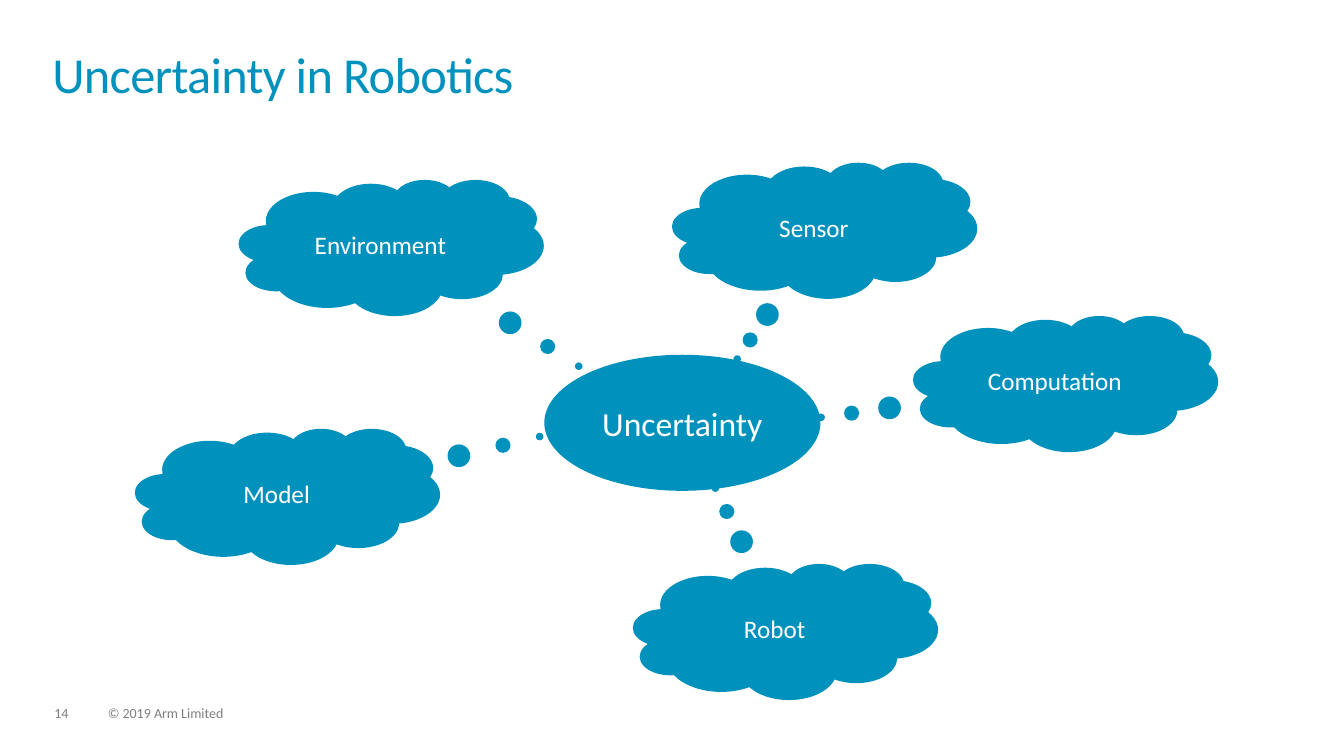
import pptx
import pptx.util
import pptx.dml.color
import pptx.enum.shapes
import pptx.enum.text

Pt = pptx.util.Pt
Shape = pptx.enum.shapes.MSO_SHAPE
Align = pptx.enum.text.PP_ALIGN
Anchor = pptx.enum.text.MSO_ANCHOR


def color(code):
    return pptx.dml.color.RGBColor.from_string(code)


class Board:
    font = "Calibri"
    blue = "0091BD"
    gray = "7F7F7F"
    white = "FFFFFF"

    def __init__(self, slide):
        self.slide = slide

    def add_text(self, para, text, size, ink, track=0):
        run = para.add_run()
        run.text = text
        run.font.name = self.font
        run.font.size = Pt(size)
        run.font.color.rgb = color(ink)
        if track:
            run._r.get_or_add_rPr().set("spc", str(round(track * 100)))

    def label(self, area, text, size, ink, lead, track=0):
        box = self.slide.shapes.add_textbox(*map(Pt, area))
        frame = box.text_frame
        frame.word_wrap = True
        frame.margin_left = frame.margin_right = 0
        frame.margin_top = frame.margin_bottom = 0
        para = frame.paragraphs[0]
        para.line_spacing = lead
        self.add_text(para, text, size, ink, track)

    def bubble(self, kind, area, text, size):
        shape = self.slide.shapes.add_shape(kind, *map(Pt, area))
        shape.shadow.inherit = False
        shape.fill.solid()
        shape.fill.fore_color.rgb = color(self.blue)
        shape.line.fill.background()
        frame = shape.text_frame
        frame.word_wrap = True
        frame.vertical_anchor = Anchor.MIDDLE
        para = frame.paragraphs[0]
        para.alignment = Align.CENTER
        self.add_text(para, text, size, self.white)
        return shape

    def cloud(self, left, top, text, tail):
        area = (left, top, 217.8, 97.2)
        shape = self.bubble(Shape.CLOUD_CALLOUT, area, text, 18)
        for i, shift in enumerate(tail):
            shape.adjustments[i] = shift


CLOUDS = [
    (170.6, 128.2, "Environment", (0.615, 0.872)),
    (96.5, 306, "Model", (0.827, -0.44)),
    (480.2, 115.9, "Sensor", (-0.287, 0.946)),
    (652.3, 225.4, "Computation", (-0.802, 0.248)),
    (452.2, 402.5, "Robot", (-0.23, -1.054)),
]


def main():
    deck = pptx.Presentation()
    deck.slide_width = Pt(960)
    deck.slide_height = Pt(540)
    board = Board(deck.slides.add_slide(deck.slide_layouts[6]))

    board.label((38.9, 504.7, 24.5, 10.8), "14", 10, board.gray, 0.9)
    board.label((77, 504.7, 123.1, 10.8), "© 2019 Arm Limited", 10, board.gray, 0.9)
    board.label((37.4, 37.4, 884.2, 51.8), "Uncertainty in Robotics",
                36, board.blue, 0.85, -0.5)

    board.bubble(Shape.OVAL, (388.8, 253.4, 197.3, 97.2), "Uncertainty", 24)
    for cloud in CLOUDS:
        board.cloud(*cloud)

    deck.save("out.pptx")


if __name__ == "__main__":
    main()
